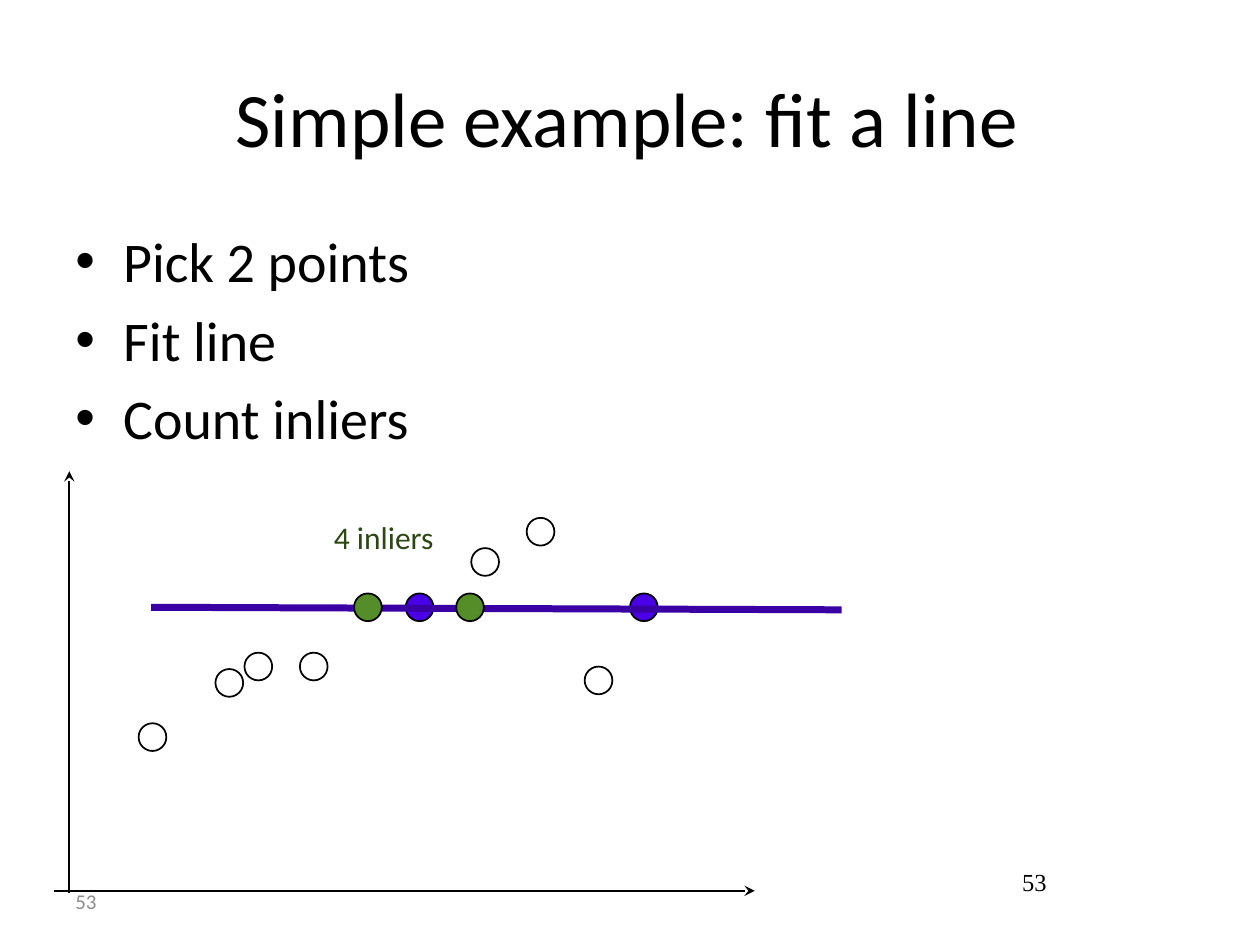
from dataclasses import dataclass

from lxml.etree import SubElement
from pptx import Presentation
from pptx.dml.color import RGBColor
from pptx.enum.shapes import MSO_CONNECTOR, MSO_SHAPE
from pptx.enum.text import MSO_ANCHOR, PP_ALIGN
from pptx.oxml.ns import qn
from pptx.util import Inches, Pt


@dataclass(frozen=True)
class Theme:
    font: str = "Calibri"
    number_font: str = "Times New Roman"
    black: str = "000000"
    gray: str = "8C8C8C"
    white: str = "FFFFFF"
    violet: str = "4A00E6"
    dark_violet: str = "3B00A4"
    green: str = "558E28"
    dark_green: str = "2B4714"
    title_size: float = 44
    body_size: float = 32
    label_size: float = 18
    number_size: float = 14
    footer_size: float = 12
    thin: float = 1
    thick: float = 4


@dataclass(frozen=True)
class Point:
    left: float
    top: float
    color: str


@dataclass(frozen=True)
class Segment:
    start: tuple[float, float]
    end: tuple[float, float]
    color: str
    width: float
    arrow: bool = False


THEME = Theme()
POINT_SIZE = 0.22
LINE_POINT_TOP = 4.71
AXES = [
    Segment((0.55, 3.74), (0.55, 7.09), THEME.black, THEME.thin, arrow=True),
    Segment((5.99, 7.07), (0.43, 7.07), THEME.black, THEME.thin, arrow=True),
]
FITTED_LINE = Segment((1.2, 4.82), (6.68, 4.84), THEME.dark_violet, THEME.thick)
OUTLIERS = [
    Point(left, top, THEME.white)
    for left, top in [(1.1, 5.74), (1.71, 5.31), (2.38, 5.18), (4.18, 4.11),
                      (3.74, 4.35), (1.94, 5.18), (4.64, 5.29)]
]
PICKED = [Point(left, LINE_POINT_TOP, THEME.violet) for left in (5, 3.22)]
INLIERS = [Point(left, LINE_POINT_TOP, THEME.green) for left in (2.81, 3.62)]


def add_text(slide, text: str, box: tuple[float, float, float, float], *,
             size: float, color: str = THEME.black, font: str = THEME.font,
             align: PP_ALIGN = PP_ALIGN.LEFT, anchor: MSO_ANCHOR = MSO_ANCHOR.TOP,
             margins: tuple[float, float, float, float] = (0.1, 0.05, 0.1, 0.05),
             wrap: bool = True, bullet: bool = False, indent: float = 0) -> None:
    shape = slide.shapes.add_textbox(*map(Inches, box))
    frame = shape.text_frame
    frame.word_wrap = wrap
    frame.vertical_anchor = anchor
    (frame.margin_left, frame.margin_top,
     frame.margin_right, frame.margin_bottom) = map(Inches, margins)
    frame.text = text
    for paragraph in frame.paragraphs:
        paragraph.alignment = align
        properties = paragraph._p.get_or_add_pPr()
        properties.set("marL", str(Inches(indent)))
        if bullet:
            paragraph.space_before = Pt(size * 0.2)
            properties.set("indent", str(-Inches(indent)))
            SubElement(properties, qn("a:buFont"), typeface="Arial")
            SubElement(properties, qn("a:buChar"), char="•")
        for run in paragraph.runs:
            run.font.name = font
            run.font.size = Pt(size)
            run.font.color.rgb = RGBColor.from_string(color)


def add_point(slide, point: Point) -> None:
    shape = slide.shapes.add_shape(
        MSO_SHAPE.OVAL, Inches(point.left), Inches(point.top),
        Inches(POINT_SIZE), Inches(POINT_SIZE))
    shape.shadow.inherit = False
    shape.fill.solid()
    shape.fill.fore_color.rgb = RGBColor.from_string(point.color)
    shape.line.color.rgb = RGBColor.from_string(THEME.black)
    shape.line.width = Pt(THEME.thin)


def add_segment(slide, segment: Segment) -> None:
    connector = slide.shapes.add_connector(
        MSO_CONNECTOR.STRAIGHT, *map(Inches, segment.start + segment.end))
    connector.line.color.rgb = RGBColor.from_string(segment.color)
    connector.line.width = Pt(segment.width)
    if segment.arrow:
        SubElement(connector.line._get_or_add_ln(), qn("a:headEnd"), type="stealth")
    SubElement(connector._element.spPr, qn("a:effectLst"))


def main() -> None:
    presentation = Presentation()
    presentation.slide_width = Inches(10)
    presentation.slide_height = Inches(7.5)
    slide = presentation.slides.add_slide(presentation.slide_layouts[6])

    add_text(slide, "53", (0.5, 6.95, 2.33, 0.4), size=THEME.footer_size,
             color=THEME.gray, anchor=MSO_ANCHOR.MIDDLE)
    add_text(slide, "Simple example: fit a line", (0.5, 0.3, 9, 1.25),
             size=THEME.title_size, align=PP_ALIGN.CENTER,
             anchor=MSO_ANCHOR.MIDDLE, margins=(0.1, 0.05, 0.14, 0.05))
    add_text(slide, "Pick 2 points\nFit line\nCount inliers", (0.5, 1.75, 9, 4.95),
             size=THEME.body_size, margins=(0.1, 0.05, 0.14, 0.05),
             bullet=True, indent=0.38)
    add_text(slide, "53", (8.05, 6.83, 0.32, 0.32), size=THEME.number_size,
             font=THEME.number_font, align=PP_ALIGN.CENTER,
             margins=(0, 0.05, 0, 0.05), wrap=False)

    for axis in AXES:
        add_segment(slide, axis)
    for point in OUTLIERS + PICKED:
        add_point(slide, point)
    add_segment(slide, FITTED_LINE)
    for point in INLIERS:
        add_point(slide, point)
    add_text(slide, "4 inliers", (2.61, 4.11, 1.24, 0.4), size=THEME.label_size,
             color=THEME.dark_green, margins=(0, 0, 0.04, 0),
             wrap=False, indent=0.04)

    presentation.save("out.pptx")


if __name__ == "__main__":
    main()
